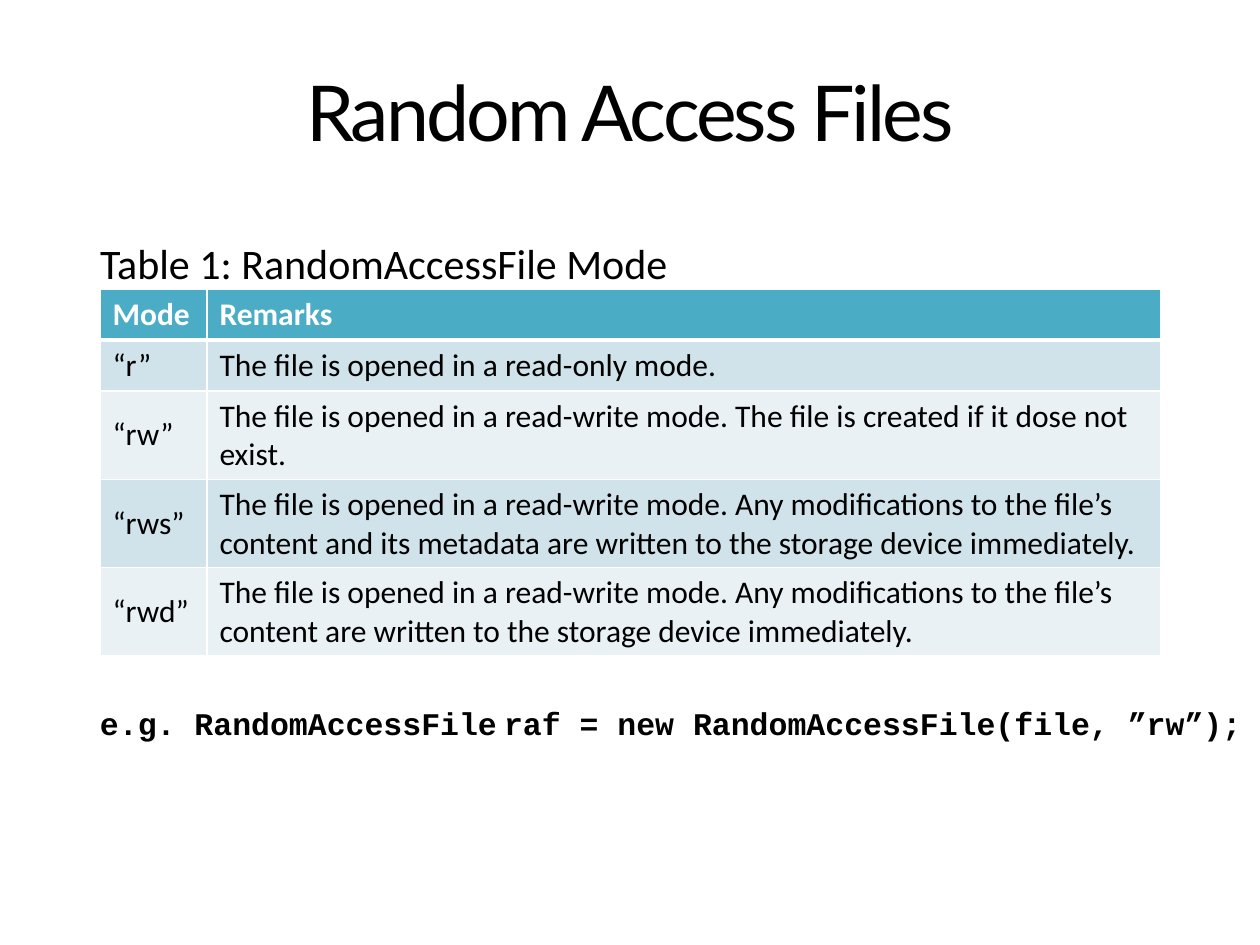
from lxml import etree
from pptx import Presentation
from pptx.dml.color import RGBColor
from pptx.enum.text import MSO_ANCHOR, PP_ALIGN
from pptx.oxml.ns import qn
from pptx.util import Emu, Pt

LEFT, CENTER = PP_ALIGN.LEFT, PP_ALIGN.CENTER
TOP, MIDDLE = MSO_ANCHOR.TOP, MSO_ANCHOR.MIDDLE
EMU_PER_PX = 914400 / 126
BLANK_LAYOUT = 6


def px(length):
    return Emu(round(length * EMU_PER_PX))


def color(hex_code):
    return RGBColor.from_string(hex_code)


class ModeSlide:
    BODY_FONT = "Calibri"
    INK, WHITE, HEADER = "000000", "FFFFFF", "4BACC6"
    BANDS = ("D0E3EA", "E9F1F5")
    TABLE_SIZE = 18

    def __init__(self, presentation):
        layout = presentation.slide_layouts[BLANK_LAYOUT]
        self.slide = presentation.slides.add_slide(layout)

    def style(self, font, size, ink, name=None, bold=False):
        font.name = name or self.BODY_FONT
        font.size = Pt(size)
        font.bold = bold
        font.color.rgb = color(ink)

    def text(self, box, runs, size, font=None, bold=False, align=LEFT,
             inset=9, before=0, spacing=None):
        """Add one line made of (words, font override) runs."""
        frame = self.slide.shapes.add_textbox(*map(px, box)).text_frame
        frame.word_wrap = True
        frame.vertical_anchor = TOP
        frame.margin_left = frame.margin_right = frame.margin_bottom = 0
        frame.margin_top = px(inset)
        line = frame.paragraphs[0]
        line.alignment = align
        line.space_before = Pt(before)
        self.style(line.font, size, self.INK, font, bold)
        for words, override in runs:
            run = line.add_run()
            run.text = words
            # Runs carry the size and weight only where the font changes
            if override:
                self.style(run.font, size, self.INK, override, bold)
            if spacing is not None:
                run.font._element.set("spc", str(round(spacing * 100)))

    def borders(self, cell, bottom=1):
        properties = cell._tc.get_or_add_tcPr()
        widths = {"a:lnL": 1, "a:lnR": 1, "a:lnT": 1, "a:lnB": bottom}
        for position, (tag, width) in enumerate(widths.items()):
            edge = etree.Element(qn(tag), w=str(Pt(width)))
            fill = etree.SubElement(edge, qn("a:solidFill"))
            etree.SubElement(fill, qn("a:srgbClr"), val=self.WHITE)
            properties.insert(position, edge)

    def table(self, left, top, widths, heights, rows):
        table = self.slide.shapes.add_table(
            len(rows), len(widths), px(left), px(top),
            px(sum(widths)), px(sum(heights))).table
        for column, width in zip(table.columns, widths):
            column.width = px(width)
        for r, (height, row) in enumerate(zip(heights, rows)):
            table.rows[r].height = px(height)
            is_header = r == 0
            for c, words in enumerate(row):
                cell = table.cell(r, c)
                cell.text = words
                cell.vertical_anchor = TOP if is_header else MIDDLE
                cell.fill.solid()
                cell.fill.fore_color.rgb = color(
                    self.HEADER if is_header else self.BANDS[(r - 1) % 2])
                self.style(cell.text_frame.paragraphs[0].font, self.TABLE_SIZE,
                           self.WHITE if is_header else self.INK,
                           bold=is_header)
                # The line under the header shows on both adjoining cells
                self.borders(cell, bottom=3 if is_header else 1)


MODES = [
    ("Mode", "Remarks"),
    ("“r”", "The file is opened in a read-only mode."),
    ("“rw”", "The file is opened in a read-write mode. "
             "The file is created if it dose not exist."),
    ("“rws”", "The file is opened in a read-write mode. Any modifications to "
              "the file’s content and its metadata are written to the storage "
              "device immediately."),
    ("“rwd”", "The file is opened in a read-write mode. Any modifications to "
              "the file’s content are written to the storage device "
              "immediately."),
]
ONE_LINE, TWO_LINES = 51, 88
MARGIN = 100


def main():
    presentation = Presentation()
    presentation.slide_width, presentation.slide_height = px(1260), px(945)
    page = ModeSlide(presentation)

    # Title
    page.text((0, 64, 1260, 95), [("Random Access Files", None)], 44,
              font="Lato", align=CENTER, inset=1, before=1, spacing=-1.7)

    # Caption and table of modes
    page.text((MARGIN, 229, 1101, 59),
              [("Table 1: RandomAccessFile Mode", None)], 24)
    page.table(MARGIN, 289, (107, 954),
               (ONE_LINE, ONE_LINE, TWO_LINES, TWO_LINES, TWO_LINES), MODES)

    # Code example, with a narrow space before the variable
    page.text((MARGIN, 695, 1160, 47),
              [("e.g. RandomAccessFile", None), (" ", page.BODY_FONT),
               ("raf = new RandomAccessFile(file, ”rw”);", None)],
              18, font="Courier New", bold=True)

    presentation.save("out.pptx")


if __name__ == "__main__":
    main()
